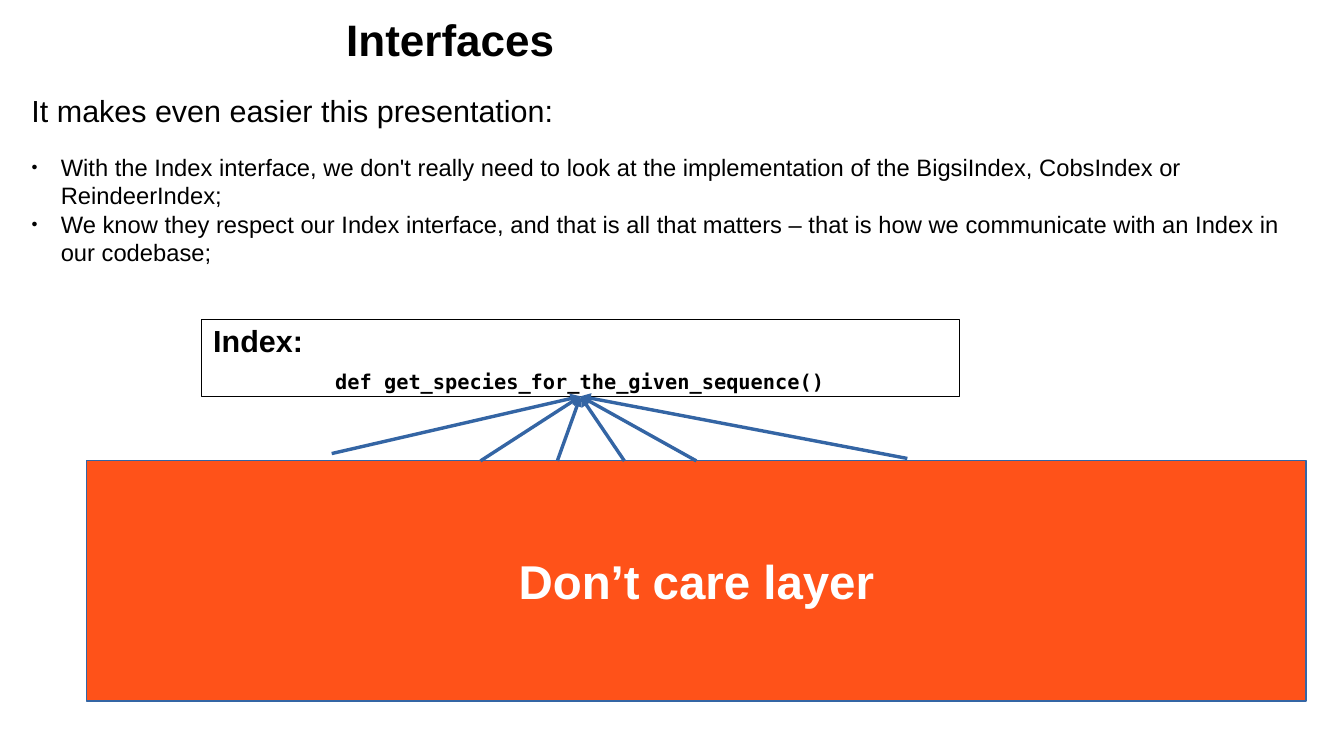
import pptx
import pptx.util
import pptx.dml.color
import pptx.enum.shapes
import pptx.enum.text
import pptx.oxml
import pptx.oxml.ns
from pptx.util import Inches, Pt

RGBColor = pptx.dml.color.RGBColor
BLACK = RGBColor(0x00, 0x00, 0x00)
WHITE = RGBColor(0xFF, 0xFF, 0xFF)
BLUE = RGBColor(0x34, 0x65, 0xA4)
ORANGE = RGBColor(0xFF, 0x40, 0x00)

TITLE = "Interfaces"
INTRO = "It makes even easier this presentation:"
REASONS = [
    "With the Index interface, we don't really need to look at the implementation "
    "of the BigsiIndex, CobsIndex or ReindeerIndex;",
    "We know they respect our Index interface, and that is all that matters – "
    "that is how we communicate with an Index in our codebase;",
]
INDEX_NAME = "Index:"
INDEX_METHOD = "def get_species_for_the_given_sequence()"
LAYER_LABEL = "Don’t care layer"

# left, top, width, height in inches
TITLE_AREA = (2.74, 0.05, 1.91, 0.5)
BODY_AREA = (0.16, 0.71, 10.55, 3.93)
INDEX_AREA = (1.65, 2.62, 6.22, 0.63)
LAYER_AREA = (0.71, 3.78, 10, 1.97)
# Where the arrows to the Index box start, left to right
ARROW_STARTS = [(2.72, 3.72), (3.94, 3.78), (4.57, 3.78),
                (5.12, 3.78), (5.71, 3.78), (7.44, 3.76)]
LAYER_TOP_MIDDLE = (5.71, 3.78)

HEADING = {"size": Pt(18), "name": "Arial", "bold": True}
BODY = {"size": Pt(14), "name": "Arial"}
CODE = {"size": Pt(12), "name": "DejaVu Sans Mono", "bold": True}


def add_xml(parent, tag, content=""):
    namespace = pptx.oxml.ns.nsdecls("a")
    parent.append(pptx.oxml.parse_xml(f"<a:{tag} {namespace}{content}/>"))


def write(paragraph, words, font_values, color=BLACK):
    run = paragraph.add_run()
    run.text = words
    for attribute, value in font_values.items():
        setattr(run.font, attribute, value)
    run.font.color.rgb = color


def indent(paragraph, left, first=0):
    properties = paragraph._p.get_or_add_pPr()
    properties.set("marL", str(Inches(left)))
    properties.set("indent", str(Inches(first)))
    return properties


def add_bullet(paragraph):
    properties = indent(paragraph, 0.24, -0.24)
    add_xml(properties, "buSzPct", ' val="45000"')
    add_xml(properties, "buFont", ' typeface="Arial"')
    add_xml(properties, "buChar", ' char="●"')


def add_text(slide, area, wrap):
    frame = slide.shapes.add_textbox(*map(Inches, area)).text_frame
    frame.word_wrap = wrap
    return frame


def add_box(slide, area, line_color):
    box = slide.shapes.add_shape(
        pptx.enum.shapes.MSO_SHAPE.RECTANGLE, *map(Inches, area))
    box.shadow.inherit = False
    box.fill.background()
    box.line.color.rgb = line_color
    box.line.width = Pt(0)
    box.text_frame.vertical_anchor = pptx.enum.text.MSO_ANCHOR.MIDDLE
    return box


def add_arrow(slide, start, layer, index):
    arrow = slide.shapes.add_connector(
        pptx.enum.shapes.MSO_CONNECTOR.STRAIGHT,
        *map(Inches, start), *map(Inches, start))
    if start == LAYER_TOP_MIDDLE:
        arrow.begin_connect(layer, 0)
    arrow.end_connect(index, 2)
    arrow.line.color.rgb = BLUE
    arrow.line.width = Pt(0)
    add_xml(arrow.line._get_or_add_ln(), "tailEnd", ' type="triangle"')
    add_xml(arrow._element.spPr, "effectLst")


def main():
    deck = pptx.Presentation()
    deck.slide_width, deck.slide_height = Inches(11.02), Inches(6.2)
    slide = deck.slides.add_slide(deck.slide_layouts[6])

    title = add_text(slide, TITLE_AREA, False)
    write(title.paragraphs[0], TITLE, {**HEADING, "size": Pt(26)})

    body = add_text(slide, BODY_AREA, True)
    intro = body.paragraphs[0]
    write(intro, INTRO, {**BODY, "size": Pt(18)})
    intro.space_after = Pt(14)
    for reason in REASONS:
        paragraph = body.add_paragraph()
        add_bullet(paragraph)
        write(paragraph, reason, BODY)

    index = add_box(slide, INDEX_AREA, BLACK)
    name = index.text_frame.paragraphs[0]
    method = index.text_frame.add_paragraph()
    for paragraph in (name, method):
        paragraph.alignment = pptx.enum.text.PP_ALIGN.LEFT
    write(name, INDEX_NAME, HEADING)
    indent(method, 1)
    method.space_before = Pt(6)
    write(method, INDEX_METHOD, CODE)

    layer = add_box(slide, LAYER_AREA, BLUE)
    layer.fill.solid()
    layer.fill.fore_color.rgb = ORANGE
    fill_color = layer._element.spPr.find(".//" + pptx.oxml.ns.qn("a:srgbClr"))
    add_xml(fill_color, "alpha", ' val="90000"')
    label = layer.text_frame.paragraphs[0]
    label.alignment = pptx.enum.text.PP_ALIGN.CENTER
    write(label, LAYER_LABEL, {**HEADING, "size": Pt(28)}, WHITE)

    for start in ARROW_STARTS:
        add_arrow(slide, start, layer, index)

    deck.save("out.pptx")


if __name__ == "__main__":
    main()
